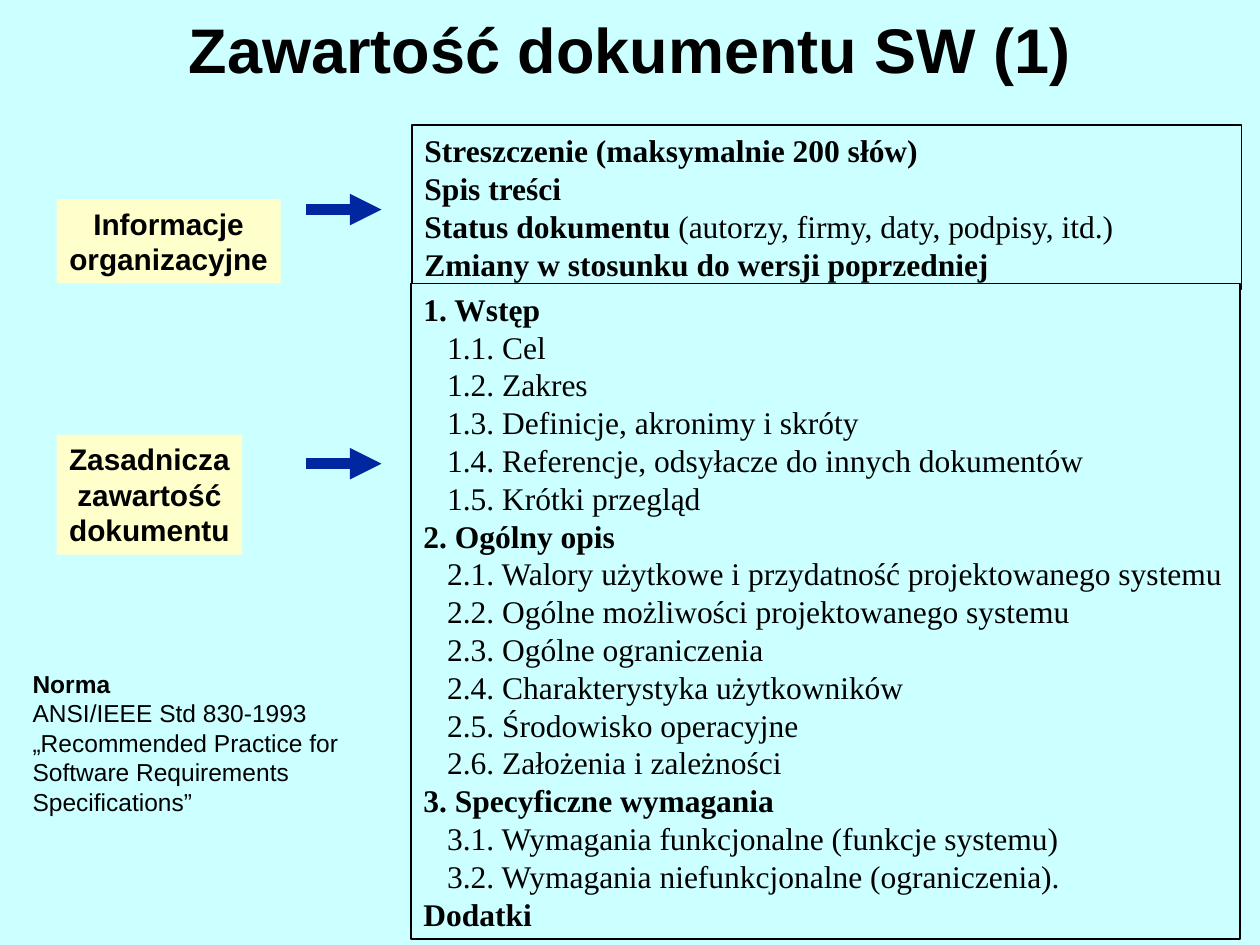
import lxml.etree
import pptx
import pptx.dml.color
import pptx.enum.shapes
import pptx.enum.text
import pptx.oxml.ns
import pptx.util

Pt = pptx.util.Pt
RGBColor = pptx.dml.color.RGBColor
Align = pptx.enum.text.PP_ALIGN
Anchor = pptx.enum.text.MSO_ANCHOR
qn = pptx.oxml.ns.qn

BLACK = RGBColor(0x00, 0x00, 0x00)
PALE_CYAN = RGBColor(0xCC, 0xFF, 0xFF)
PALE_YELLOW = RGBColor(0xFF, 0xFF, 0xCC)
NAVY = RGBColor(0x00, 0x27, 0x9F)

SANS = "Arial"
SERIF = "Times New Roman"
LEADING = 1.2
SUBSECTION_INDENT = 13.5

SUMMARY = [
    [("Streszczenie (maksymalnie 200 słów)", True)],
    [("Spis treści", True)],
    [("Status dokumentu ", True), ("(autorzy, firmy, daty, podpisy, itd.)", False)],
    [("Zmiany w stosunku do wersji poprzedniej", True)],
]
CHAPTERS = [
    ("Wstęp", ["Cel", "Zakres", "Definicje, akronimy i skróty",
               "Referencje, odsyłacze do innych dokumentów", "Krótki przegląd"]),
    ("Ogólny opis", ["Walory użytkowe i przydatność projektowanego systemu",
                     "Ogólne możliwości projektowanego systemu",
                     "Ogólne ograniczenia", "Charakterystyka użytkowników",
                     "Środowisko operacyjne", "Założenia i zależności"]),
    ("Specyficzne wymagania", ["Wymagania funkcjonalne (funkcje systemu)",
                               "Wymagania niefunkcjonalne (ograniczenia)."]),
]
STANDARD = [
    [("Norma", True)],
    [("ANSI/IEEE Std 830-1993", False)],
    [("„Recommended Practice for Software Requirements Specifications”", False)],
]


def bold_lines(*texts):
    return [[(text, True)] for text in texts]


def numbered_outline():
    """Return the outline's lines and the left indent of each."""
    lines, indents = [], []
    for number, (heading, sections) in enumerate(CHAPTERS, 1):
        lines.append([(f"{number}. {heading}", True)])
        lines += [[(f"{number}.{part}. {section}", False)]
                  for part, section in enumerate(sections, 1)]
        indents += [0] + [SUBSECTION_INDENT] * len(sections)
    return lines + bold_lines("Dodatki"), indents + [0]


def write_text(shape, lines, font=SANS, size=18, align=Align.LEFT,
               anchor=Anchor.TOP, wrap=True, indents=None):
    """Fill a shape with lines, each a list of (text, bold) runs."""
    frame = shape.text_frame
    frame.auto_size = pptx.enum.text.MSO_AUTO_SIZE.NONE
    frame.word_wrap = wrap
    frame.vertical_anchor = anchor
    frame.margin_left = frame.margin_right = Pt(7.2)
    frame.margin_top = frame.margin_bottom = Pt(3.6)
    for index, line in enumerate(lines):
        paragraph = frame.paragraphs[0] if index == 0 else frame.add_paragraph()
        paragraph.alignment = align
        paragraph.line_spacing = Pt(size * LEADING)
        paragraph.space_before = paragraph.space_after = Pt(0)
        properties = paragraph._p.get_or_add_pPr()
        properties.set("marL", str(Pt(indents[index] if indents else 0)))
        properties.set("indent", "0")
        lxml.etree.SubElement(properties, qn("a:buNone"))
        for text, bold in line:
            run = paragraph.add_run()
            run.text = text
            run.font.name = font
            run.font.size = Pt(size)
            run.font.bold = bold
            run.font.color.rgb = BLACK


class SlideBuilder:
    def __init__(self, presentation):
        self.slide = presentation.slides.add_slide(presentation.slide_layouts[1])
        self.slide.background.fill.solid()
        self.slide.background.fill.fore_color.rgb = PALE_CYAN

    def place(self, shape, left, top, width, height):
        shape.left, shape.top = Pt(left), Pt(top)
        shape.width, shape.height = Pt(width), Pt(height)

    def paint(self, shape, fill, outlined):
        shape.fill.solid()
        shape.fill.fore_color.rgb = fill
        if outlined:
            shape.line.color.rgb = BLACK
            shape.line.width = Pt(1)
        else:
            shape.line.fill.background()

    def title(self, text, *bounds):
        shape = self.slide.shapes.title
        self.place(shape, *bounds)
        write_text(shape, bold_lines(text), size=36, align=Align.CENTER,
                   anchor=Anchor.MIDDLE)

    def box(self, lines, *bounds, fill, outlined=False, **text_format):
        shape = self.slide.shapes.add_shape(
            pptx.enum.shapes.MSO_SHAPE.RECTANGLE, *map(Pt, bounds))
        shape.shadow.inherit = False
        self.paint(shape, fill, outlined)
        write_text(shape, lines, **text_format)

    def label(self, words, *bounds):
        self.box(bold_lines(*words), *bounds, fill=PALE_YELLOW, size=17,
                 align=Align.CENTER, wrap=False)

    def body(self, lines, indents, *bounds):
        """Put the list in the body placeholder, in front of earlier shapes."""
        shape = self.slide.placeholders[1]
        shape.element.getparent().append(shape.element)
        self.place(shape, *bounds)
        self.paint(shape, PALE_CYAN, outlined=True)
        write_text(shape, lines, font=SERIF, indents=indents)

    def note(self, lines, *bounds):
        shape = self.slide.shapes.add_textbox(*map(Pt, bounds))
        write_text(shape, lines, size=14)

    def arrow(self, left, right, y):
        connector = self.slide.shapes.add_connector(
            pptx.enum.shapes.MSO_CONNECTOR.STRAIGHT, Pt(left), Pt(y), Pt(right), Pt(y))
        connector.line.color.rgb = NAVY
        connector.line.width = Pt(6)
        lxml.etree.SubElement(connector.line._get_or_add_ln(), qn("a:tailEnd"),
                              type="triangle")
        lxml.etree.SubElement(connector._element.spPr, qn("a:effectLst"))


def main():
    presentation = pptx.Presentation()
    presentation.slide_width, presentation.slide_height = Pt(720), Pt(540)
    builder = SlideBuilder(presentation)
    builder.title("Zawartość dokumentu SW (1)", 36, 0, 648, 55)
    builder.box(SUMMARY, 235.5, 71.5, 474, 93.6, fill=PALE_CYAN, outlined=True,
                font=SERIF)
    builder.label(["Informacje", "organizacyjne"], 32.4, 113.8, 128, 48.2)
    builder.body(*numbered_outline(), 234.8, 162, 474, 374.4)
    builder.label(["Zasadnicza", "zawartość", "dokumentu"], 32.4, 248.4, 106, 68.6)
    for y in (119.75, 265):
        builder.arrow(175, 218, y)
    builder.note(STANDARD, 11.5, 378.7, 216.7, 91.4)
    presentation.save("out.pptx")


if __name__ == "__main__":
    main()
